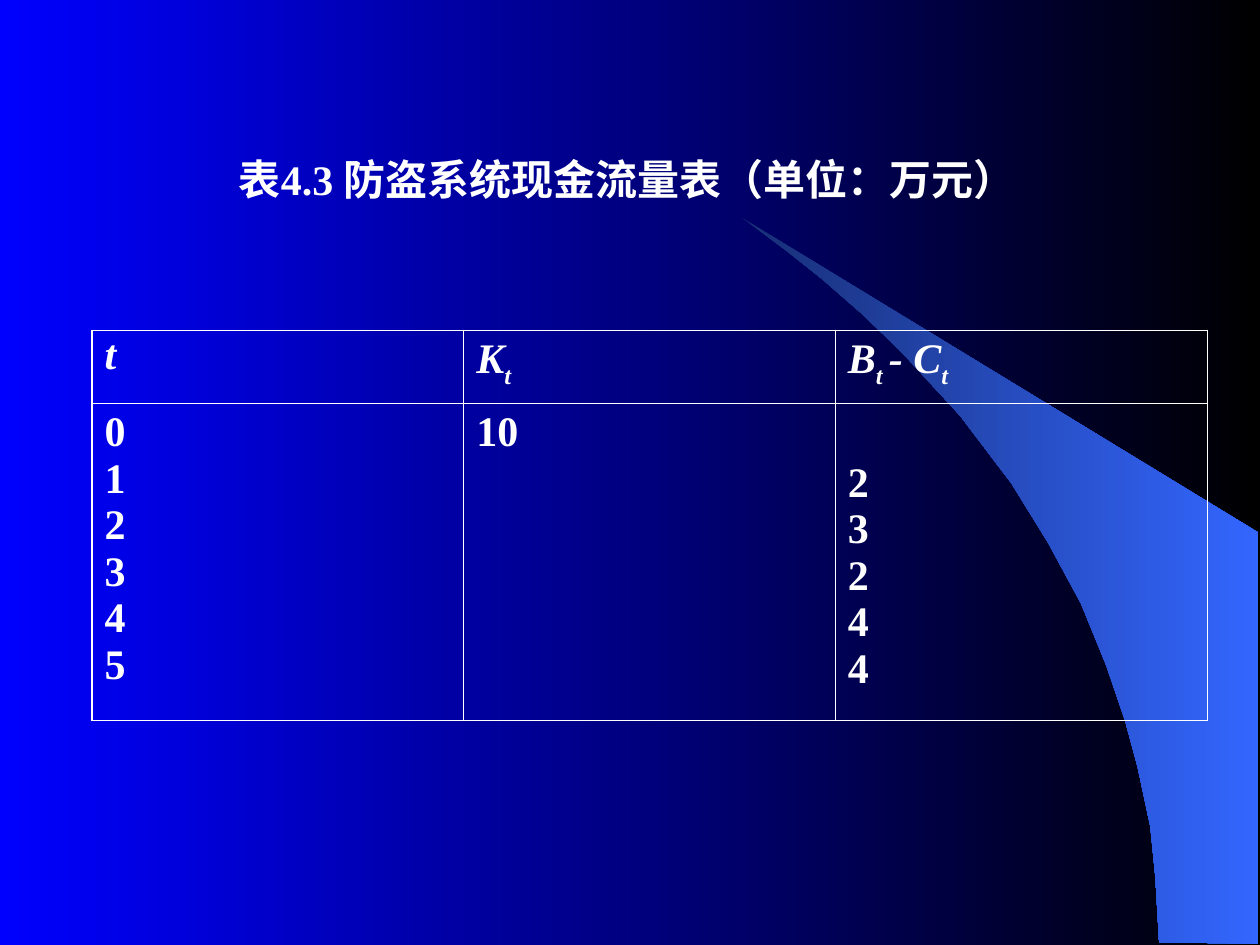
from dataclasses import dataclass

from lxml.etree import SubElement
from pptx import Presentation
from pptx.dml.color import RGBColor
from pptx.enum.text import MSO_ANCHOR, MSO_AUTO_SIZE, PP_ALIGN
from pptx.oxml.ns import qn
from pptx.util import Inches, Pt


@dataclass(frozen=True)
class Theme:
    font: str = "Times New Roman"
    size: int = 24
    text: str = "FFFFFF"
    background: tuple = ("0000FF", "000000")
    crescent: tuple = ("182F76", "3366FF")
    outer_line: float = 0.75
    inner_line: float = 0.45


class SlideBuilder:
    def __init__(self, slide, theme):
        self.slide = slide
        self.theme = theme

    def gradient(self, fill, colors):
        fill.gradient()
        fill.gradient_angle = 0
        for stop, color in zip(fill.gradient_stops, colors):
            stop.color.rgb = RGBColor.from_string(color)

    def background(self):
        self.gradient(self.slide.background.fill, self.theme.background)

    def crescent(self, points):
        builder = self.slide.shapes.build_freeform(*points[0], scale=Inches(0.01))
        builder.add_line_segments(points[1:], close=True)
        sp = builder.convert_to_shape()
        sp.shadow.inherit = False
        sp.line.fill.background()
        self.gradient(sp.fill, self.theme.crescent)

    def style(self, p, italic=False):
        p.font.name = self.theme.font
        p.font.size = Pt(self.theme.size)
        p.font.bold = True
        p.font.italic = italic
        p.font.color.rgb = RGBColor.from_string(self.theme.text)

    def title(self, text, left, top, width, height):
        sp = self.slide.shapes.add_textbox(
            Inches(left), Inches(top), Inches(width), Inches(height))
        tf = sp.text_frame
        tf.word_wrap = False
        tf.auto_size = MSO_AUTO_SIZE.SHAPE_TO_FIT_TEXT
        tf.vertical_anchor = MSO_ANCHOR.MIDDLE
        p = tf.paragraphs[0]
        p.text = text
        p.alignment = PP_ALIGN.CENTER
        self.style(p)

    def borders(self, cell, outer_sides):
        tcPr = cell._tc.get_or_add_tcPr()
        for side in "LRTB":
            width = self.theme.outer_line if side in outer_sides else self.theme.inner_line
            ln = SubElement(tcPr, qn(f"a:ln{side}"), w=str(Pt(width)))
            fill = SubElement(ln, qn("a:solidFill"))
            SubElement(fill, qn("a:srgbClr"), val=self.theme.text)

    def header(self, cell, parts):
        p = cell.text_frame.paragraphs[0]
        p.line_spacing = 0.9
        for text, subscript in parts:
            r = p.add_run()
            r.text = text
            if subscript:
                r._r.get_or_add_rPr().set("baseline", "-25000")
        self.style(p, italic=True)

    def values(self, cell, values, top_margin):
        cell.margin_top = Inches(top_margin)
        cell.text_frame.text = "\n".join(values)
        for p in cell.text_frame.paragraphs:
            self.style(p)

    def table(self, left, top, col_widths, row_heights, columns):
        table = self.slide.shapes.add_table(
            len(row_heights), len(col_widths), Inches(left), Inches(top),
            Inches(sum(col_widths)), Inches(sum(row_heights))).table
        table.first_row = False
        table.horz_banding = False
        for row, height in zip(table.rows, row_heights):
            row.height = Inches(height)
        last = len(columns) - 1
        for i, (header, values, top_margin) in enumerate(columns):
            table.columns[i].width = Inches(col_widths[i])
            sides = ("L" if i == 0 else "") + ("R" if i == last else "")
            for j, edge in enumerate("TB"):
                cell = table.cell(j, i)
                self.borders(cell, sides + edge)
                cell.fill.background()
            self.header(table.cell(0, i), header)
            self.values(table.cell(1, i), values, top_margin)


CRESCENT = [
    (920, 748), (999, 749), (999, 423), (589, 173), (624, 199), (653, 222),
    (685, 250), (716, 280), (762, 330), (803, 384), (832, 431), (858, 479),
    (878, 528), (893, 572), (903, 609), (913, 656), (917, 696),
]

COLUMNS = [
    ([("t", False)], "012345", 0.05),
    ([("K", False), ("t", True)], ["10"], 0.05),
    ([("B", False), ("t ", True), ("- C", False), ("t", True)], "23244", 0.45),
]


def main():
    prs = Presentation()
    prs.slide_width, prs.slide_height = Inches(10), Inches(7.5)
    s = SlideBuilder(prs.slides.add_slide(prs.slide_layouts[6]), Theme())
    s.background()
    s.crescent(CRESCENT)
    s.title("表4.3 防盗系统现金流量表（单位：万元）", 1.63, 1.17, 6.7, 0.5)
    s.table(0.73, 2.62, [2.95, 2.95, 2.95], [0.58, 2.52], COLUMNS)
    prs.save("out.pptx")


if __name__ == "__main__":
    main()
